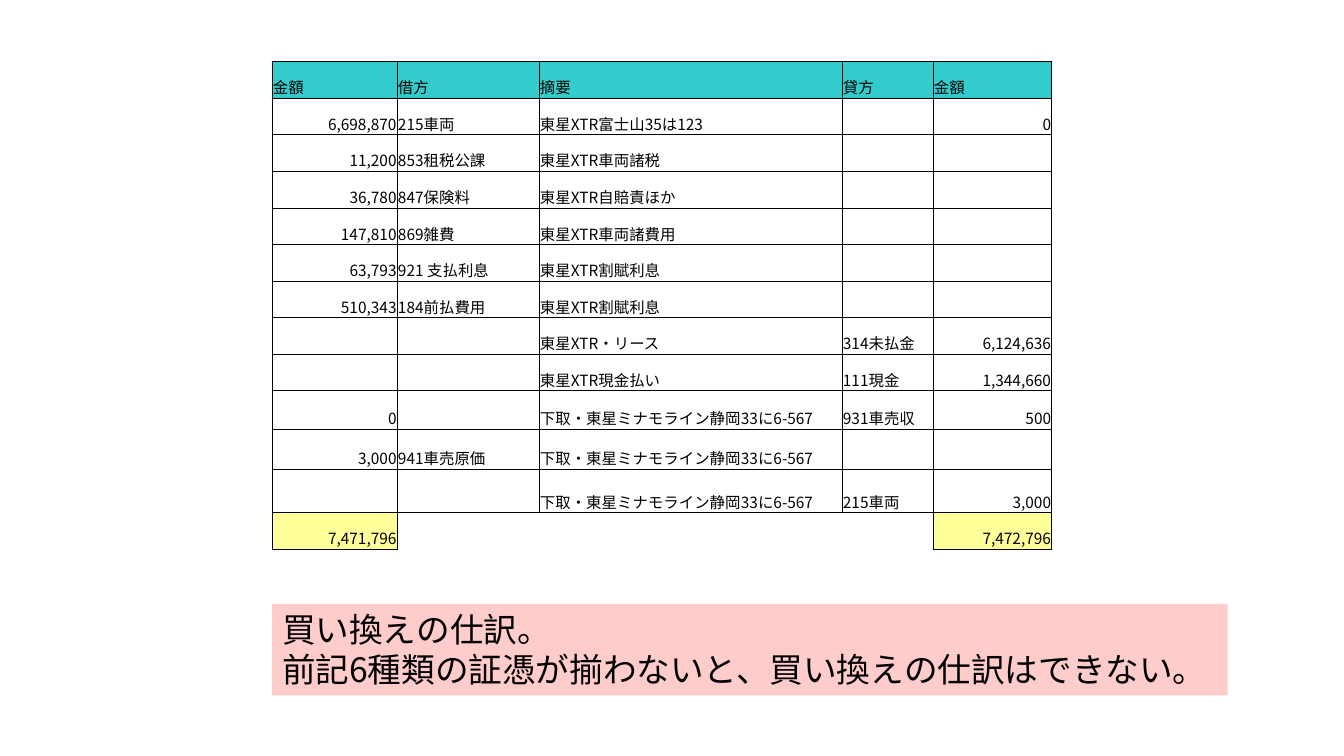
"""Build the slide with the journal entries for a car trade-in."""
from dataclasses import dataclass

from lxml import etree
from pptx import Presentation
from pptx import util as u
from pptx.dml.color import RGBColor
from pptx.enum import text
from pptx.oxml.ns import qn


@dataclass(frozen=True)
class Theme:
    font: str = "Noto Sans CJK JP"
    ink: str = "000000"
    header: str = "33CCCC"
    total: str = "FFFF99"
    note: str = "FFCCCC"
    table_size: int = 11
    note_size: int = 24
    thin: float = 0.5
    thick: float = 1


def style_paragraph(p, size):
    p.font.size = u.Pt(size)
    p.font.color.rgb = RGBColor.from_string(theme.ink)
    p.font.name = theme.font
    defaults = p._p.pPr.find(qn("a:defRPr"))
    etree.SubElement(defaults, qn("a:ea"), typeface=theme.font)


def add_border(cell, side, width):
    ln = etree.SubElement(cell._tc.get_or_add_tcPr(), qn(f"a:ln{side}"), w=str(u.Pt(width)))
    if width:
        fill = etree.SubElement(ln, qn("a:solidFill"))
        etree.SubElement(fill, qn("a:srgbClr"), val=theme.ink)
    else:
        etree.SubElement(ln, qn("a:noFill"))


theme = Theme()
entries = [
    ("金額", "借方", "摘要", "貸方", "金額"),
    ("6,698,870", "215車両", "東星XTR富士山35は123", "", "0"),
    ("11,200", "853租税公課", "東星XTR車両諸税", "", ""),
    ("36,780", "847保険料", "東星XTR自賠責ほか", "", ""),
    ("147,810", "869雑費", "東星XTR車両諸費用", "", ""),
    ("63,793", "921 支払利息", "東星XTR割賦利息", "", ""),
    ("510,343", "184前払費用", "東星XTR割賦利息", "", ""),
    ("", "", "東星XTR・リース", "314未払金", "6,124,636"),
    ("", "", "東星XTR現金払い", "111現金", "1,344,660"),
    ("0", "", "下取・東星ミナモライン静岡33に6-567", "931車売収", "500"),
    ("3,000", "941車売原価", "下取・東星ミナモライン静岡33に6-567", "", ""),
    ("", "", "下取・東星ミナモライン静岡33に6-567", "215車両", "3,000"),
    ("7,471,796", "", "", "", "7,472,796"),
]
col_widths = [89.3, 101.4, 216.4, 65, 84.7]
row_heights = [26.15] * 9 + [27.2, 28.6, 31.4, 26.15]
last_row, last_col = len(row_heights) - 1, len(col_widths) - 1
amount_cols = (0, last_col)

prs = Presentation()
prs.slide_width, prs.slide_height = u.Pt(960), u.Pt(540)
s = prs.slides.add_slide(prs.slide_layouts[6])

table = s.shapes.add_table(
    len(row_heights), len(col_widths), u.Pt(194.5), u.Pt(43.9),
    u.Pt(sum(col_widths)), u.Pt(sum(row_heights))).table
table.first_row = table.horz_banding = False
for col, width in zip(table.columns, col_widths):
    col.width = u.Pt(width)
for row, height in zip(table.rows, row_heights):
    row.height = u.Pt(height)

for r, entry in enumerate(entries):
    for c, value in enumerate(entry):
        cell = table.cell(r, c)
        cell.vertical_anchor = text.MSO_ANCHOR.BOTTOM
        cell.margin_left = cell.margin_right = cell.margin_top = u.Pt(0.5)
        cell.margin_bottom = 0
        p = cell.text_frame.paragraphs[0]
        p.text = value
        style_paragraph(p, theme.table_size)
        if r > 0 and c in amount_cols:
            p.alignment = text.PP_ALIGN.RIGHT

        left = theme.thick if c == 0 else theme.thin
        right = theme.thick if c == last_col else theme.thin
        top = theme.thick if r == 0 else theme.thin
        bottom = theme.thick if r == last_row - 1 and c > 0 else theme.thin
        if r == last_row:
            left = theme.thick if c in (0, 1, last_col) else 0
            right = theme.thick if c in (0, last_col - 1, last_col) else 0
            top = theme.thick if c > 0 else theme.thin
            bottom = theme.thick if c in amount_cols else 0
        for side, width in zip("LRTB", (left, right, top, bottom)):
            add_border(cell, side, width)

        if r == 0 or (r == last_row and c in amount_cols):
            cell.fill.solid()
            cell.fill.fore_color.rgb = RGBColor.from_string(theme.total if r else theme.header)
        else:
            cell.fill.background()

note = s.shapes.add_textbox(u.Pt(194.4), u.Pt(431.3), u.Pt(682.5), u.Pt(65.5))
note.fill.solid()
note.fill.fore_color.rgb = RGBColor.from_string(theme.note)
tf = note.text_frame
tf.word_wrap = False
tf.auto_size = text.MSO_AUTO_SIZE.SHAPE_TO_FIT_TEXT
tf.text = "買い換えの仕訳。\n前記6種類の証憑が揃わないと、買い換えの仕訳はできない。"
for p in tf.paragraphs:
    style_paragraph(p, theme.note_size)

prs.save("out.pptx")
